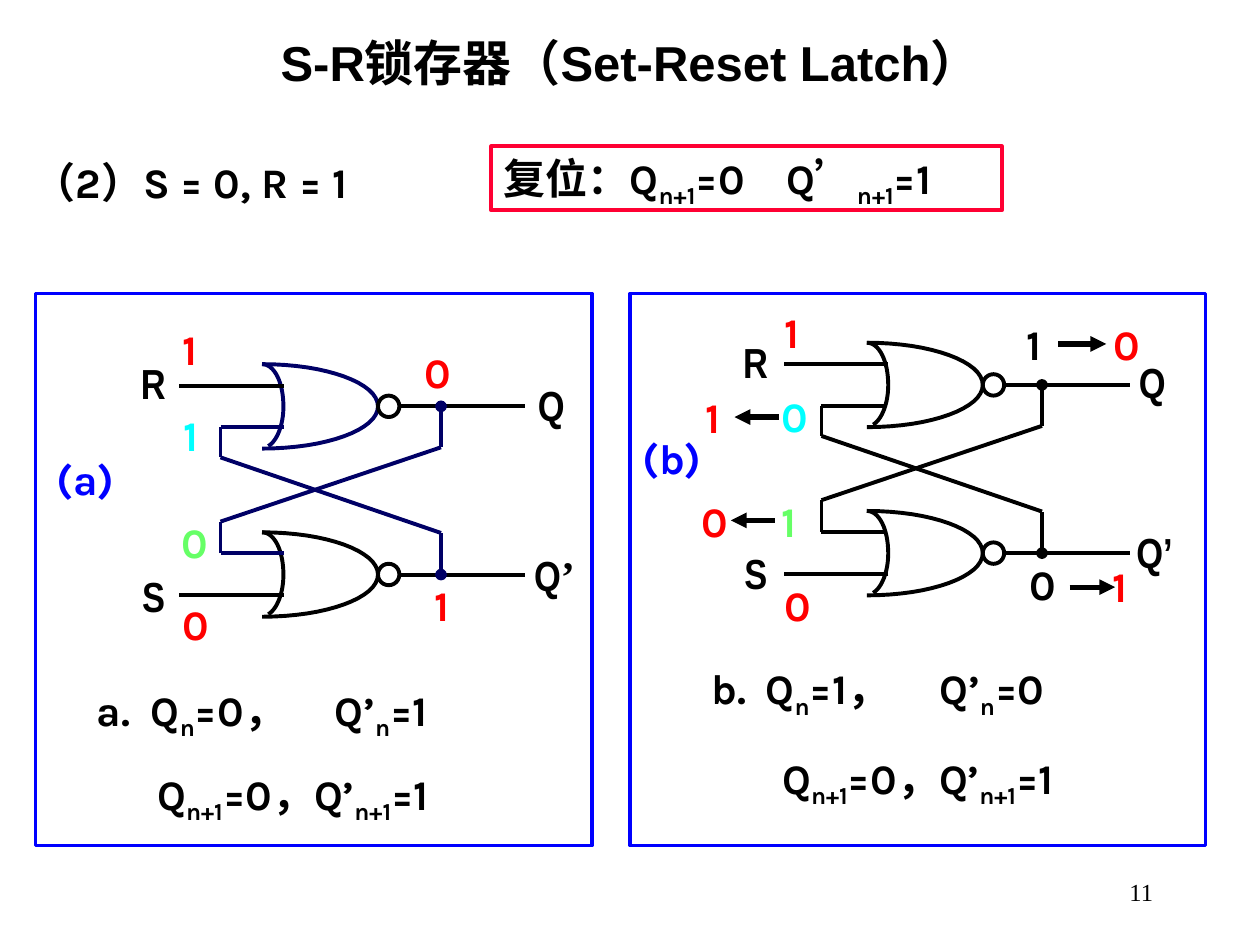
from pptx import Presentation
from pptx.dml.color import RGBColor as RGB
from pptx.enum.shapes import MSO_CONNECTOR as CONN, MSO_SHAPE as SHAPE
from pptx.enum.text import MSO_ANCHOR as ANCHOR, MSO_AUTO_SIZE as AUTO, PP_ALIGN as ALIGN
from pptx.oxml.ns import qn
from pptx.util import Inches, Pt
from lxml.etree import SubElement

INK = {"black": "000000", "navy": "000066", "blue": "0000FF", "red": "FF0000",
       "rose": "FF0033", "cyan": "00FFFF", "green": "66FF66", "white": "FFFFFF"}
NARROW, KARLA, TIMES = "Arial Narrow", "Karla", "Times New Roman"

deck = Presentation()
deck.slide_width, deck.slide_height = Inches(10), Inches(7.5)
slide = deck.slides.add_slide(deck.slide_layouts[6])
shapes = slide.shapes


def wire(x1, y1, x2, y2, ink="black", width=2.25, head=None, tail=None):
    line = shapes.add_connector(CONN.STRAIGHT, *map(Inches, (x1, y1, x2, y2)))
    line.line.color.rgb = RGB.from_string(INK[ink])
    line.line.width = Pt(width)
    for tag, kind in (("a:headEnd", head), ("a:tailEnd", tail)):
        if kind:
            SubElement(line.line._get_or_add_ln(), qn(tag), type=kind)
    SubElement(line._element.spPr, qn("a:effectLst"))


def write(text, x, y, w, h=0.5, ink="black", font=KARLA, size=24, bold=True,
          wrap=False, align=ALIGN.LEFT, tabs=()):
    """Underscores switch between normal and subscript runs."""
    box = shapes.add_textbox(*map(Inches, (x, y, w, h)))
    frame = box.text_frame
    frame.word_wrap, frame.auto_size = wrap, AUTO.SHAPE_TO_FIT_TEXT
    para = frame.paragraphs[0]
    para.alignment = align
    if tabs:
        stops = SubElement(para._p.get_or_add_pPr(), qn("a:tabLst"))
        for stop in tabs:
            SubElement(stops, qn("a:tab"), pos=str(Inches(stop)), algn="l")
    style = {"name": font, "size": Pt(size), "bold": bold}
    for i, part in enumerate(text.split("_")):
        if not part:
            continue
        run = para.add_run()
        run.text = part
        for key, val in style.items():
            setattr(run.font, key, val)
        run.font.color.rgb = RGB.from_string(INK[ink])
        if i % 2:
            run._r.get_or_add_rPr().set("baseline", "-25000")
    return box


# Title and heading
write("S-R锁存器（Set-Reset Latch）", 0, 0.21, 10, 0.57, font="Arial", size=28,
      wrap=True, align=ALIGN.CENTER)
write("（2）S = 0, R = 1", 0.17, 1.19, 3.1)
reset = write("复位：__Q_n+1_=0\tQ’_n+1_=1", 3.9, 1.16, 4.05, 0.51, wrap=True, tabs=[2.24])
reset.text_frame.paragraphs[0].runs[0].font.name = NARROW
reset.fill.solid()
reset.fill.fore_color.rgb = RGB.from_string(INK["white"])
reset.line.color.rgb = RGB.from_string(INK["rose"])
reset.line.width = Pt(2.25)

# Latches: gate left, gate top, loop left, loop ink, ink of the two gates
latches = [(2.08, 2.89, 1.75, "navy", ("navy", "black")),
           (6.88, 2.72, 6.52, "black", ("black", "black"))]
# Gate outline as cubic curves
curves = [[((0, 0), (0.51, 0), (0.92, 0.15), (0.92, 0.335))],
          [((0, 0.67), (0.51, 0.67), (0.92, 0.52), (0.92, 0.335))],
          [((0, 0), (0.1, 0), (0.17, 0.15), (0.17, 0.335)),
           ((0.17, 0.335), (0.17, 0.48), (0.12, 0.61), (0.05, 0.65))]]
STEPS = 16
for left, top, loop, ink, tones in latches:
    for tone, y, pin in zip(tones, (top, top + 1.335), (0.17, 0.5)):
        for curve in curves:
            pts = []
            for knots in curve:
                for i in range(STEPS + 1):
                    t = i / STEPS
                    mix = ((1 - t) ** 3, 3 * t * (1 - t) ** 2, 3 * t * t * (1 - t), t ** 3)
                    px, py = (sum(m * k[a] for m, k in zip(mix, knots)) for a in (0, 1))
                    pts.append((Inches(left + px), Inches(y + py)))
            path = shapes.build_freeform(*pts[0])
            path.add_line_segments(pts[1:], close=False)
            arc = path.convert_to_shape()
            arc.shadow.inherit = False
            arc.fill.background()
            arc.line.color.rgb = RGB.from_string(INK[tone])
            arc.line.width = Pt(2.25)
        dot = shapes.add_shape(SHAPE.OVAL, *map(Inches, (left + 0.92, y + 0.25, 0.17, 0.17)))
        dot.shadow.inherit = False
        dot.fill.background()
        dot.line.color.rgb = RGB.from_string(INK["black"])
        dot.line.width = Pt(2.25)
        # Input and output
        wire(left + 0.17, y + pin, left - 0.66, y + pin)
        wire(left + 1.09, y + 0.335, left + 2.09, y + 0.335)
    # Crossed feedback: pin, bend, far bend, output
    for pin, bend, far, out in ((0.5, 0.74, 1.34, 1.67), (1.5, 1.25, 0.66, 0.335)):
        end = loop + 1.75
        wire(loop, top + pin, loop + 0.5, top + pin, ink)
        wire(loop, top + pin, loop, top + bend, ink)
        wire(loop, top + bend, end, top + far, ink)
        wire(end, top + out, end, top + far, ink, head="oval")

# Pin names
for text, x, y, w in [("Q", 4.17, 2.96, 0.41), ("R", 1.02, 2.79, 0.4), ("S", 1.03, 4.48, 0.38),
                      ("Q", 8.94, 2.78, 0.41), ("Q’", 8.92, 4.13, 0.49),
                      ("R", 5.8, 2.62, 0.4), ("S", 5.81, 4.3, 0.38)]:
    write(text, x, y, w, font=NARROW)
bar = write("Q__’", 4.14, 4.31, 0.53, font=NARROW)
bar.text_frame.paragraphs[0].runs[1].font.name = TIMES

# Input levels
for text, x, y, ink in [("1", 1.35, 2.52, "red"), ("1", 1.36, 3.2, "cyan"),
                        ("0", 1.34, 4.05, "green"), ("0", 1.35, 4.7, "red"),
                        ("1", 6.13, 2.38, "red"), ("0", 6.1, 3.05, "cyan"),
                        ("1", 6.1, 3.88, "green"), ("0", 6.13, 4.55, "red")]:
    write(text, x, y, 0.41, ink=ink)

# Output and changed levels
for text, x, y, ink in [("0", 3.27, 2.7, "red"), ("1", 3.35, 4.55, "red"),
                        ("1", 8.05, 2.48, "black"), ("0", 8.74, 2.48, "red"),
                        ("0", 8.07, 4.38, "black"), ("1", 8.73, 4.4, "red"),
                        ("1", 5.5, 3.06, "red"), ("0", 5.47, 3.88, "red")]:
    write(text, x, y, 0.35, ink=ink, wrap=True)

# Arrows from old to new level
for x1, x2, y in [(8.4, 8.78, 2.73), (8.49, 8.85, 4.66), (6.15, 5.8, 4.13), (6.18, 5.83, 3.31)]:
    wire(x1, y, x2, y, width=3, tail="triangle")

# State equations
for text, x, y, tabs in [("a.\tQ_n_=0，\tQ’_n_=1", 0.67, 5.38, [0.43, 1.89]),
                         ("Q_n+1_=0，Q’_n+1_=1", 1.15, 6.05, []),
                         ("b.\tQ_n_=1，\tQ’_n_=0", 5.55, 5.21, [0.43, 1.81]),
                         ("Q_n+1_=0，Q’_n+1_=1", 6.11, 5.92, [])]:
    write(text, x, y, 3.23, wrap=True, tabs=tabs)

# Panels
for text, x, y, left, width in [("(a)", 0.35, 3.55, 0.28, 4.42), ("(b)", 5, 3.38, 5, 4.57)]:
    write(text, x, y, 0.71, ink="blue")
    panel = shapes.add_shape(SHAPE.RECTANGLE, *map(Inches, (left, 2.33, width, 4.38)))
    panel.shadow.inherit = False
    panel.fill.background()
    panel.line.color.rgb = RGB.from_string(INK["blue"])
    panel.line.width = Pt(2)

# Page number
page = write("11", 7.17, 6.83, 2.08, font=TIMES, size=14, bold=False, wrap=True,
             align=ALIGN.RIGHT)
page.text_frame.auto_size = AUTO.NONE
page.text_frame.vertical_anchor = ANCHOR.MIDDLE

deck.save("out.pptx")
